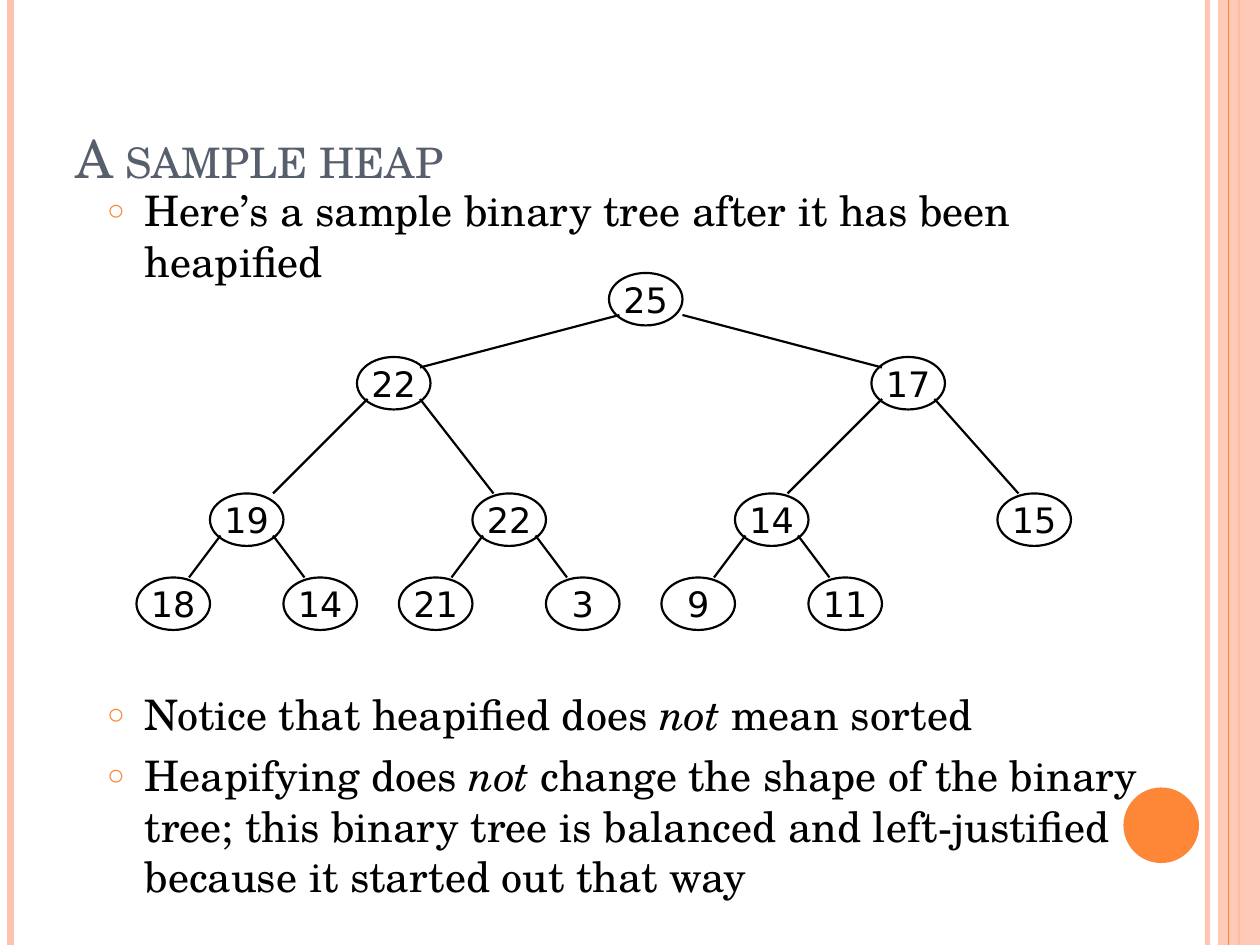
from dataclasses import dataclass

from lxml import etree
from pptx import Presentation
from pptx.dml.color import RGBColor
from pptx.enum.shapes import MSO_CONNECTOR, MSO_SHAPE
from pptx.enum.text import MSO_ANCHOR, MSO_AUTO_SIZE, PP_ALIGN
from pptx.oxml.ns import qn
from pptx.util import Pt

STRAIGHT = MSO_CONNECTOR.STRAIGHT
OVAL, RECTANGLE = MSO_SHAPE.OVAL, MSO_SHAPE.RECTANGLE
TOP, MIDDLE, BOTTOM = MSO_ANCHOR.TOP, MSO_ANCHOR.MIDDLE, MSO_ANCHOR.BOTTOM
LEFT, CENTER = PP_ALIGN.LEFT, PP_ALIGN.CENTER
NO_AUTOFIT = MSO_AUTO_SIZE.NONE


@dataclass(frozen=True)
class Theme:
    accent: str = "FE8637"
    pale: str = "FEC3AE"
    heading: str = "575F6D"
    ink: str = "000000"
    serif: str = "TeX Gyre Schola"
    sans: str = "DejaVu Sans"
    title_size: int = 30
    body_size: int = 24
    node_size: int = 20
    tree_line: float = 1.25


THEME = Theme()
EMU_PER_PX = 7620
SLIDE_W, SLIDE_H = 1200, 900

TITLE = "A sample heap"
TITLE_BOX = (60, 36, 980, 150)
BODIES = [
    ((90, 170, 1020, 100),
     [[("Here’s a sample binary tree after it has been heapified", False)]]),
    ((90, 650, 1020, 220),
     [[("Notice that heapified does ", False), ("not", True), (" mean sorted", False)],
      [("Heapifying does ", False), ("not", True),
       (" change the shape of the binary tree; this binary tree is balanced and "
        "left-justified because it started out that way", False)]]),
]
BULLET_INDENT = 36

# value, left, edge start from parent's left, edge end from own left
HEAP = [
    (25, 580, None, None),
    (22, 340, 10, 60), (17, 830, 70, 10),
    (19, 200, 10, 60), (22, 450, 60, 20), (14, 700, 10, 50), (15, 950, 60, 20),
    (18, 130, 10, 50), (14, 270, 60, 20), (21, 380, 10, 50), (3, 520, 60, 20),
    (9, 630, 10, 50), (11, 770, 60, 20),
]
LEVEL_TOPS = [260, 340, 470, 550]
EDGE_END_DROPS = [0, 10, 0, 0]
EDGE_START_DROP = 40
NODE_W, NODE_H = 70, 50

RULES = [(1150, THEME.pale, 3, 93), (10, THEME.pale, 4.5, 100), (1180, THEME.accent, 1.5, 100)]
INNER_RULE = (1170, THEME.accent, 0.75, 100)
SIDE_BAND = (1160, 0, 40, SLIDE_H)
DISC = (1070, 750, 72, 72)


def px(*lengths):
    return [length * EMU_PER_PX for length in lengths]


def rgb(color):
    return RGBColor.from_string(color)


def set_opacity(shape, percent):
    color = next(shape._element.spPr.iter(qn("a:srgbClr")))
    etree.SubElement(color, qn("a:alpha"), val=str(percent * 1000))


def add_line(slide, start, end, color, width):
    line = slide.shapes.add_connector(STRAIGHT, *px(*start, *end))
    line.line.color.rgb = rgb(color)
    line.line.width = Pt(width)
    etree.SubElement(line._element.spPr, qn("a:effectLst"))
    return line


def add_rule(slide, x, color, width, opacity):
    rule = add_line(slide, (x, 0), (x, SLIDE_H), color, width)
    if opacity < 100:
        set_opacity(rule, opacity)


def add_solid(slide, kind, box, color):
    solid = slide.shapes.add_shape(kind, *px(*box))
    solid.shadow.inherit = False
    solid.fill.solid()
    solid.fill.fore_color.rgb = rgb(color)
    solid.line.fill.background()
    return solid


def set_font(paragraph, face, size, color):
    paragraph.font.name = face
    paragraph.font.size = Pt(size)
    paragraph.font.color.rgb = rgb(color)


def place(slide, placeholder, box, anchor):
    placeholder.left, placeholder.top, placeholder.width, placeholder.height = px(*box)
    frame = placeholder.text_frame
    frame.word_wrap = True
    frame.auto_size = NO_AUTOFIT
    frame.vertical_anchor = anchor
    slide.shapes._spTree.append(placeholder._element)
    return frame


def add_bullet(paragraph):
    properties = paragraph._p.get_or_add_pPr()
    indent, = px(BULLET_INDENT)
    properties.set("marL", str(indent))
    properties.set("indent", str(-indent))
    bullet_color = etree.SubElement(properties, qn("a:buClr"))
    etree.SubElement(bullet_color, qn("a:srgbClr"), val=THEME.accent)
    etree.SubElement(properties, qn("a:buSzPct"), val="70000")
    etree.SubElement(properties, qn("a:buChar"), char="○")


def fill_title(slide):
    frame = place(slide, slide.shapes.title, TITLE_BOX, BOTTOM)
    frame.text = TITLE
    heading = frame.paragraphs[0]
    heading.alignment = LEFT
    set_font(heading, THEME.serif, THEME.title_size, THEME.heading)
    heading.runs[0].font._element.set("cap", "small")


def fill_body(slide, placeholder, box, points):
    frame = place(slide, placeholder, box, TOP)
    for number, point in enumerate(points):
        paragraph = frame.add_paragraph() if number else frame.paragraphs[0]
        add_bullet(paragraph)
        paragraph.space_before = Pt(6 if number else 0)
        set_font(paragraph, THEME.serif, THEME.body_size, THEME.ink)
        for words, italic in point:
            run = paragraph.add_run()
            run.text = words
            if italic:
                run.font.italic = True


def add_node(slide, value, left, top):
    node = slide.shapes.add_shape(OVAL, *px(left, top, NODE_W, NODE_H))
    node.shadow.inherit = False
    node.fill.background()
    node.line.color.rgb = rgb(THEME.ink)
    node.line.width = Pt(THEME.tree_line)
    frame = node.text_frame
    frame.word_wrap = False
    frame.vertical_anchor = MIDDLE
    frame.text = str(value)
    label = frame.paragraphs[0]
    label.alignment = CENTER
    set_font(label, THEME.sans, THEME.node_size, THEME.ink)


def add_tree(slide):
    for index, (value, left, start_dx, end_dx) in enumerate(HEAP):
        level = (index + 1).bit_length() - 1
        top = LEVEL_TOPS[level]
        add_node(slide, value, left, top)
        if index:
            parent_left = HEAP[(index - 1) // 2][1]
            start = (parent_left + start_dx, LEVEL_TOPS[level - 1] + EDGE_START_DROP)
            end = (left + end_dx, top + EDGE_END_DROPS[level])
            add_line(slide, start, end, THEME.ink, THEME.tree_line)


def main():
    deck = Presentation()
    deck.slide_width, deck.slide_height = px(SLIDE_W, SLIDE_H)
    slide = deck.slides.add_slide(deck.slide_layouts[3])
    for rule in RULES:
        add_rule(slide, *rule)
    set_opacity(add_solid(slide, RECTANGLE, SIDE_BAND, THEME.pale), 87)
    add_rule(slide, *INNER_RULE)
    add_solid(slide, OVAL, DISC, THEME.accent)
    fill_title(slide)
    for idx, (box, points) in enumerate(BODIES, start=1):
        fill_body(slide, slide.placeholders[idx], box, points)
    add_tree(slide)
    deck.save("out.pptx")


if __name__ == "__main__":
    main()
